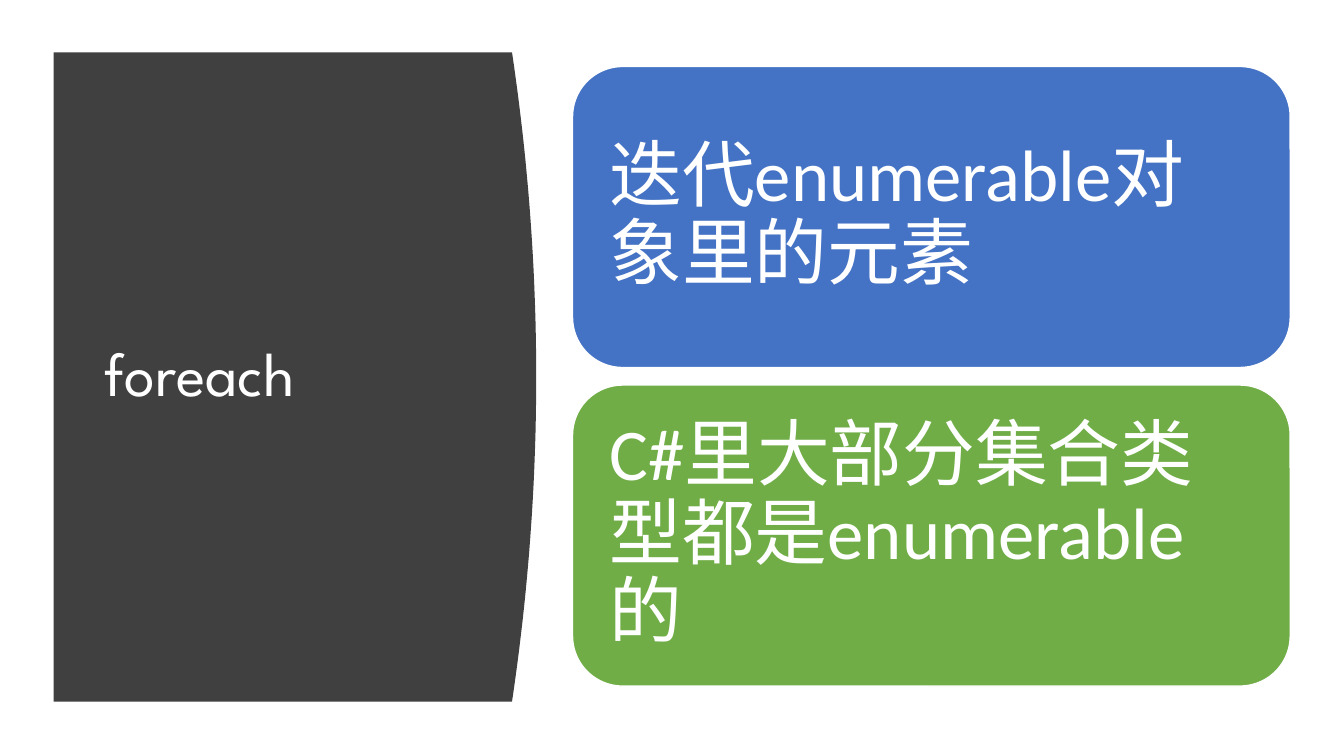
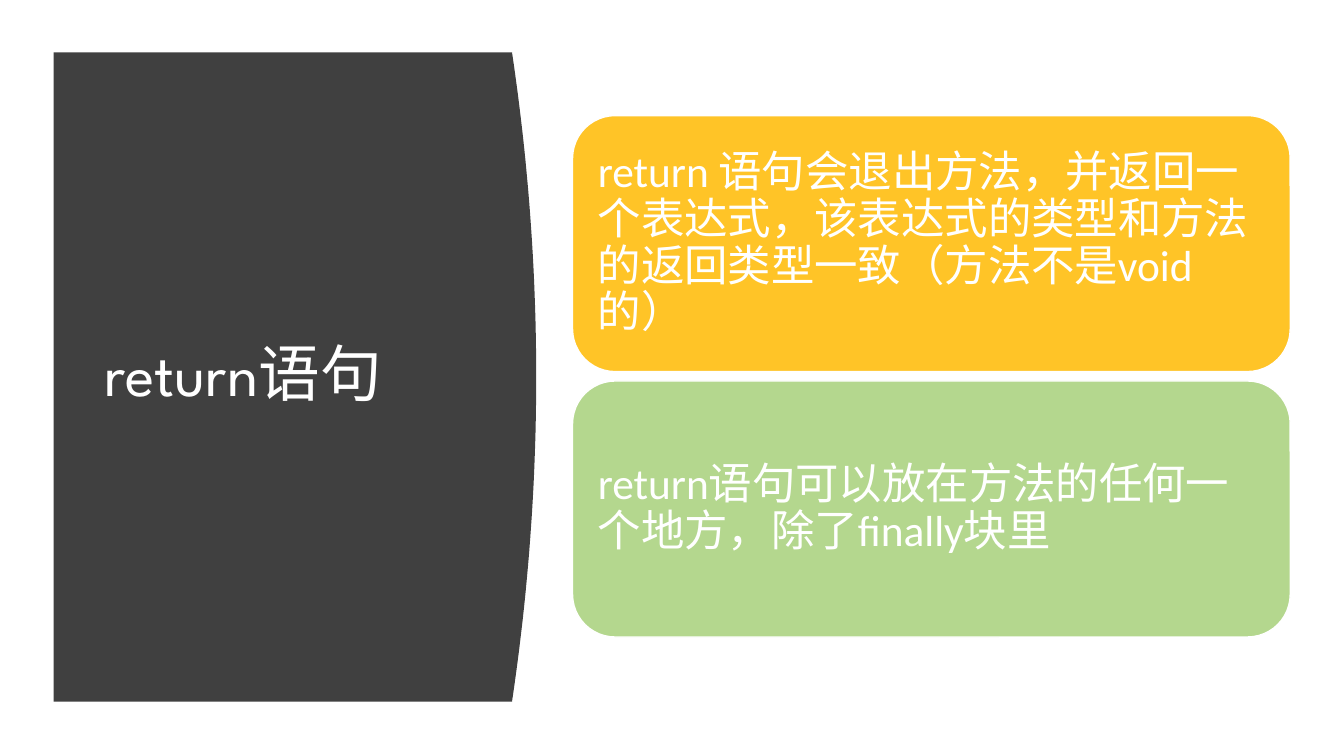
from pptx import Presentation
from pptx.dml.color import RGBColor
from pptx.enum.shapes import MSO_SHAPE as SHAPE
from pptx.enum.text import MSO_ANCHOR as ANCHOR, PP_ALIGN as ALIGN
from pptx.util import Emu, Pt

PX = 6096  # EMU per px: the slide is 2000 x 1125 px
COLORS = {
    "panel": "404040",
    "white": "FFFFFF",
    "blue": "4472C4",
    "green": "70AD47",
    "amber": "FFC427",
    "lime": "B4D78E",
}


def px(n):
    return Emu(round(n * PX))


def rgb(name):
    return RGBColor.from_string(COLORS[name])


def write(tf, text, font, size, insets, color="white"):
    """Fill a text frame with one left-aligned, vertically centred paragraph."""
    tf.word_wrap = True
    tf.vertical_anchor = ANCHOR.MIDDLE
    tf.margin_left = tf.margin_right = px(insets[0])
    tf.margin_top = tf.margin_bottom = px(insets[1])
    p = tf.paragraphs[0]
    p.alignment = ALIGN.LEFT
    p.line_spacing = 0.9
    r = p.add_run()
    r.text = text
    r.font.name = font
    r.font.size = Pt(size)
    r.font.color.rgb = rgb(color)


class Deck:
    TITLE_FONT, BODY_FONT = "League Spartan", "Calibri"
    PANEL = (80, 78, 762, 1044)  # left, top, right, bottom
    BULGE = 36
    TITLE_BOX = (141, 167, 561, 786)
    CARD_X, CARD_W = 852, 1068

    def __init__(self):
        self.prs = Presentation()
        self.prs.slide_width, self.prs.slide_height = px(2000), px(1125)
        self.s = None

    def add_slide(self, title):
        self.s = self.prs.slides.add_slide(self.prs.slide_layouts[6])
        self.panel()
        self.title(title)

    def panel(self, steps=48):
        """Draw the dark panel whose right edge bulges as a parabola."""
        left, top, right, bottom = self.PANEL
        edge = []
        for i in range(steps + 1):
            t = 2 * i / steps - 1
            edge.append((px(right + self.BULGE * (1 - t * t)),
                         px(top + (bottom - top) * i / steps)))
        builder = self.s.shapes.build_freeform(px(left), px(top))
        builder.add_line_segments(edge + [(px(left), px(bottom))], close=True)
        sp = builder.convert_to_shape()
        sp.shadow.inherit = False
        sp.fill.solid()
        sp.fill.fore_color.rgb = rgb("panel")
        sp.line.fill.background()

    def title(self, text):
        box = self.s.shapes.add_textbox(*map(px, self.TITLE_BOX))
        write(box.text_frame, text, self.TITLE_FONT, 44, (15, 7.5))

    def card(self, text, y, h, color, size, inset):
        sp = self.s.shapes.add_shape(SHAPE.ROUNDED_RECTANGLE, px(self.CARD_X),
                                     px(y), px(self.CARD_W), px(h))
        sp.shadow.inherit = False
        sp.fill.solid()
        sp.fill.fore_color.rgb = rgb(color)
        sp.line.color.rgb = rgb("white")
        sp.line.width = Pt(1)
        write(sp.text_frame, text, self.BODY_FONT, size, (inset, inset))

    def cards(self, items, top, h, gap, size, inset):
        """Stack cards downwards with equal gaps."""
        for i, (text, color) in enumerate(items):
            self.card(text, top + i * (h + gap), h, color, size, inset)


def main():
    deck = Deck()
    deck.add_slide("foreach")
    deck.cards([("迭代enumerable对象里的元素", "blue"),
                ("C#里大部分集合类型都是enumerable的", "green")],
               top=99, h=448, gap=26, size=52, inset=33)

    deck.add_slide("return语句")
    deck.cards([("return 语句会退出方法，并返回一个表达式，该表达式的类型和方法的返回类型一致（方法不是void的）", "amber"),
                ("return语句可以放在方法的任何一个地方，除了finally块里", "lime")],
               top=172, h=381, gap=14, size=31, inset=19)
    deck.prs.save("out.pptx")


if __name__ == "__main__":
    main()
